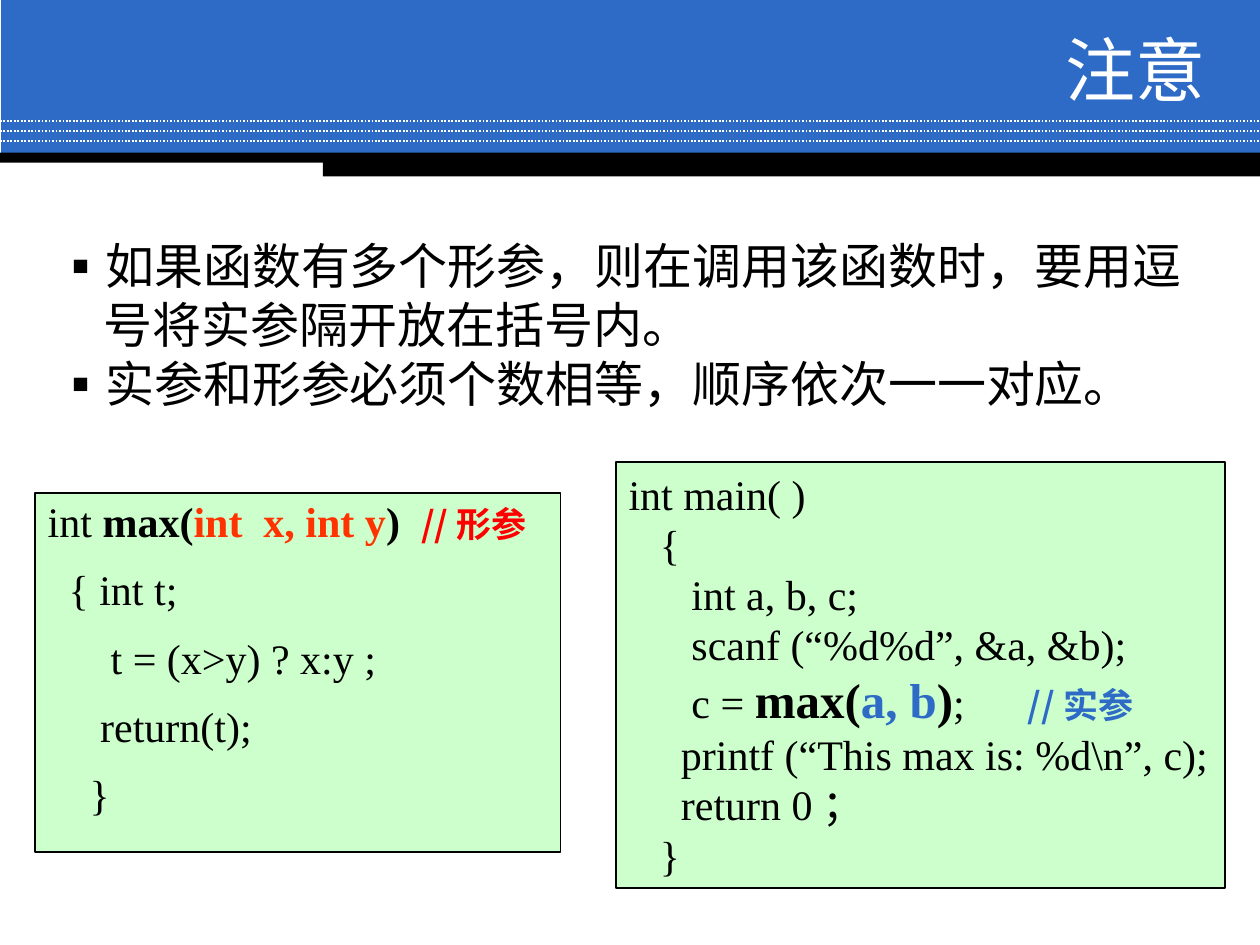
from dataclasses import dataclass

from lxml import etree
from pptx import Presentation
from pptx.dml.color import RGBColor
from pptx.enum.dml import MSO_LINE
from pptx.enum.shapes import MSO_CONNECTOR, MSO_SHAPE
from pptx.enum.text import MSO_ANCHOR, PP_ALIGN
from pptx.oxml.ns import qn
from pptx.util import Pt

RECTANGLE = MSO_SHAPE.RECTANGLE
STRAIGHT = MSO_CONNECTOR.STRAIGHT
DOTTED = MSO_LINE.ROUND_DOT
MIDDLE, TOP = MSO_ANCHOR.MIDDLE, MSO_ANCHOR.TOP
LEFT, RIGHT = PP_ALIGN.LEFT, PP_ALIGN.RIGHT


@dataclass(frozen=True)
class Theme:
    blue: str = "2D6BC7"
    white: str = "FFFFFF"
    black: str = "000000"
    green: str = "CCFFCC"
    orange: str = "FF3300"
    red: str = "FF0000"
    title: int = 40
    body: int = 28
    code: int = 24
    comment: int = 20
    chinese: str = "Noto Sans CJK SC"
    latin: str = "Times New Roman"


theme = Theme()


def add_box(left, top, width, height, fill, outline=None):
    box = slide.shapes.add_shape(RECTANGLE, Pt(left), Pt(top), Pt(width), Pt(height))
    box.shadow.inherit = False
    box.fill.solid()
    box.fill.fore_color.rgb = RGBColor.from_string(fill)
    if outline:
        box.line.color.rgb = RGBColor.from_string(outline)
        box.line.width = Pt(1)
    else:
        box.line.fill.background()
    return box


def add_run(paragraph, text, size, color=theme.black, bold=False, face=theme.chinese):
    run = paragraph.add_run()
    run.text = text
    run.font.size = Pt(size)
    run.font.bold = bold
    run.font.name = face
    run.font.color.rgb = RGBColor.from_string(color)
    east_asian = etree.Element(qn("a:ea"), typeface=theme.chinese)
    run.font._element.find(qn("a:latin")).addnext(east_asian)


prs = Presentation()
prs.slide_width, prs.slide_height = Pt(720), Pt(540)
slide = prs.slides.add_slide(prs.slide_layouts[6])

# Header band
add_box(0.7, 0, 719.3, 88.5, theme.blue)
for y in (69.2, 74.9, 80.6):
    rule = slide.shapes.add_connector(STRAIGHT, Pt(0), Pt(y), Pt(720), Pt(y))
    rule.line.color.rgb = RGBColor.from_string(theme.white)
    rule.line.width = Pt(1)
    rule.line.dash_style = DOTTED
    etree.SubElement(rule._element.spPr, qn("a:effectLst"))
add_box(0, 87.2, 720, 5.8, theme.black)
add_box(184.5, 89.3, 535.5, 11.5, theme.black)

heading = slide.shapes.add_textbox(Pt(198), Pt(18), Pt(498), Pt(42)).text_frame
heading.word_wrap = True
heading.vertical_anchor = MIDDLE
heading.paragraphs[0].alignment = RIGHT
add_run(heading.paragraphs[0], "注意", theme.title, theme.white)

# Rules for parameters
notes = slide.shapes.add_textbox(Pt(25.2), Pt(127.4), Pt(680.4), Pt(125.3)).text_frame
notes.word_wrap = True
notes.margin_top = Pt(7)
for index, note in enumerate((
    "如果函数有多个形参，则在调用该函数时，要用逗号将实参隔开放在括号内。",
    "实参和形参必须个数相等，顺序依次一一对应。",
)):
    paragraph = notes.paragraphs[0] if index == 0 else notes.add_paragraph()
    paragraph.line_spacing = Pt(33.7)
    properties = paragraph._p.get_or_add_pPr()
    properties.set("marL", str(Pt(27)))
    properties.set("indent", str(-Pt(27)))
    etree.SubElement(properties, qn("a:buFont"), typeface=theme.chinese)
    etree.SubElement(properties, qn("a:buChar"), char="▪")
    add_run(paragraph, note, theme.body)

# Code lines are lists of runs: text, then size, colour, weight and face if special
main_lines = [
    [("int main( )",)],
    [("   {",)],
    [("      int a, b, c;",)],
    [("      scanf (“%d%d”, &a, &b);",)],
    [
        ("      c = ",),
        ("max(", theme.body, theme.black, True),
        ("a, b", theme.body, theme.blue, True),
        (")", theme.body, theme.black, True),
        (";      ",),
        ("//实参", theme.comment, theme.blue, True, theme.chinese),
    ],
    [("     printf (“This max is: %d\\n”, c);",)],
    [("     return 0；",)],
    [("   }",)],
]
max_lines = [
    [
        ("int ",),
        ("max(", theme.code, theme.black, True),
        ("int  x, int y", theme.code, theme.orange, True),
        (")  ", theme.code, theme.black, True),
        ("//形参", theme.comment, theme.red, True, theme.chinese),
    ],
    [("  { int t;",)],
    [("      t = (x>y) ? x:y ;",)],
    [("     return(t);",)],
    [("    }",)],
]
# Each listing: place, lines, line height, gap between lines
listings = [
    ((352.1, 264.2, 347.8, 243.4), main_lines, 28.7, 0),
    ((20.2, 281.5, 300.2, 205.2), max_lines, 27, 12),
]
for place, lines, line_height, gap in listings:
    code = add_box(*place, theme.green, theme.black).text_frame
    code.word_wrap = True
    code.vertical_anchor = TOP
    for index, runs in enumerate(lines):
        paragraph = code.paragraphs[0] if index == 0 else code.add_paragraph()
        paragraph.alignment = LEFT
        has_large_text = any(theme.body in run for run in runs)
        paragraph.line_spacing = Pt(34 if has_large_text else line_height)
        if index:
            paragraph.space_before = Pt(gap)
        for text, *style in runs:
            size, color, bold, face = style + [
                theme.code, theme.black, False, theme.latin][len(style):]
            add_run(paragraph, text, size, color, bold, face)

prs.save("out.pptx")
